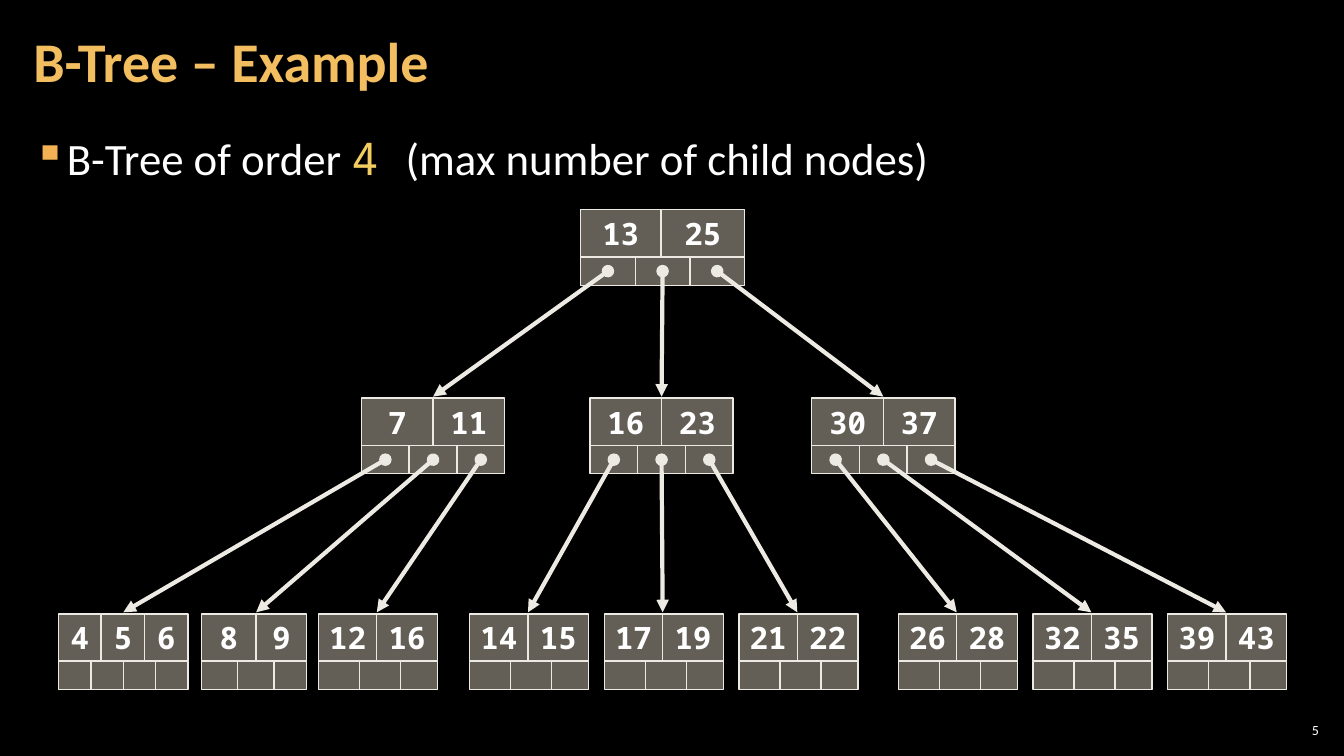
from lxml.etree import SubElement
from pptx import Presentation
from pptx.dml.color import RGBColor
from pptx.enum.shapes import MSO_CONNECTOR as CONN, MSO_SHAPE as SHAPE
from pptx.enum.text import MSO_ANCHOR as ANCHOR, MSO_AUTO_SIZE as AUTO, PP_ALIGN as ALIGN
from pptx.oxml.ns import qn
from pptx.util import Inches, Pt

# Content
TITLE = "B-Tree – Example"
SANS, MONO = "Calibri", "Noto Sans Mono"
WHITE, GOLD, LINE, NODE = "FFFFFF", "F3BE60", "ECEAE3", "C7BFAC"
BULLET = [("B-Tree of order ", SANS, WHITE), ("4 ", MONO, "F3CD60"),
          ("(max number of child nodes)", SANS, WHITE)]
PAGE = "5"

# Tree levels: row top, then nodes as (keys, left, width, share of first key)
# Horizontal values are % of slide width, vertical ones % of slide height
LEVELS = [
    (27.73, [((13, 25), 43.2, 12.2, .49)]),
    (52.67, [((7, 11), 26.9, 10.65, .5), ((16, 23), 43.9, 10.65, .5),
             ((30, 37), 60.4, 10.65, .5)]),
    (81.2, [((4, 5, 6), 4.35, 9.65, .33), ((8, 9), 15, 7.8, .52),
            ((12, 16), 23.7, 8.85, .49)]
     + [(keys, start + 10.02 * i, 8.85, .49)
        for start, group in ((34.95, ((14, 15), (17, 19), (21, 22))),
                             (66.85, ((26, 28), (32, 35), (39, 43))))
        for i, keys in enumerate(group)]),
]
KEY_H, POINTER_H = 6.27, 3.73
LEAF_POINTERS = (.345, .345, .31)
ARROW_GAP = .2

prs = Presentation()
prs.slide_width, prs.slide_height = Inches(13.33), Inches(7.5)
s = prs.slides.add_slide(prs.slide_layouts[5])


def rgb(color):
    return RGBColor.from_string(color)


def x(share):
    return round(prs.slide_width * share / 100)


def y(share):
    return round(prs.slide_height * share / 100)


def add_run(p, text, size, font=SANS, color=WHITE, bold=False):
    r = p.add_run()
    r.text = text
    r.font.name, r.font.size, r.font.bold = font, Pt(size), bold
    r.font.color.rgb = rgb(color)


def frame(sp, side, anchor, wrap=True):
    tf = sp.text_frame
    tf.auto_size, tf.word_wrap, tf.vertical_anchor = AUTO.NONE, wrap, anchor
    tf.margin_left = tf.margin_right = Inches(side)
    tf.margin_top = tf.margin_bottom = Inches(.04)
    return tf.paragraphs[0]


def add_cell(left, top, width, height, text=""):
    sp = s.shapes.add_shape(SHAPE.RECTANGLE, x(left), y(top), x(width), y(height))
    sp.shadow.inherit = False
    sp.fill.solid()
    sp.fill.fore_color.rgb = rgb(NODE)
    color = sp.fill._xPr.find(qn("a:solidFill"))[0]
    SubElement(color, qn("a:alpha"), val="50000")
    sp.line.color.rgb, sp.line.width = rgb(LINE), Pt(1)
    if text:
        p = frame(sp, 0, ANCHOR.MIDDLE, wrap=False)
        p.alignment = ALIGN.CENTER
        add_run(p, text, 22, MONO, bold=True)


def add_row(left, top, width, height, shares, texts):
    for share, text in zip(shares, texts):
        add_cell(left, top, width * share, height, text)
        left += width * share


def add_arrow(x1, y1, x2, y2):
    c = s.shapes.add_connector(CONN.STRAIGHT, x(x1), y(y1), x(x2), y(y2))
    c.line.color.rgb, c.line.width = rgb(LINE), Pt(3)
    ln = c.line._get_or_add_ln()
    SubElement(ln, qn("a:headEnd"), type="oval")
    SubElement(ln, qn("a:tailEnd"), type="triangle")
    SubElement(c._element.spPr, qn("a:effectLst"))


# Background and title
s.background.fill.solid()
s.background.fill.fore_color.rgb = rgb("000000")
title = s.shapes.title
title.left, title.top, title.width, title.height = x(1.58), y(.5), x(78.55), y(16.1)
p = frame(title, .12, ANCHOR.MIDDLE)
p.alignment, p.line_spacing = ALIGN.LEFT, .9
add_run(p, TITLE, 40, color=GOLD, bold=True)

# Bullet line
body = s.shapes.add_textbox(x(1.58), y(16.8), x(96.85), y(81.2))
p = frame(body, .12, ANCHOR.TOP)
pPr = p._p.get_or_add_pPr()
pPr.set("marL", str(Inches(.33)))
pPr.set("indent", str(Inches(-.33)))
p.space_after = Pt(6)
SubElement(SubElement(pPr, qn("a:buClr")), qn("a:srgbClr"), val="F2B254")
SubElement(pPr, qn("a:buChar"), char="▪")
for text, font, color in BULLET:
    add_run(p, text, 32, font, color)

# Slide number
number = s.shapes.add_textbox(x(94.9), y(95.2), x(3.53), y(2.8))
p = frame(number, .04, ANCHOR.MIDDLE)
p.alignment = ALIGN.RIGHT
add_run(p, PAGE, 10)

# Nodes: a row of keys above a row of child pointers
for top, nodes in LEVELS:
    for keys, left, width, first in nodes:
        n = len(keys)
        key_shares = [first] + [(1 - first) / (n - 1)] * (n - 1)
        is_leaf = top == LEVELS[-1][0]
        pointers = LEAF_POINTERS if is_leaf and n == 2 else [1 / (n + 1)] * (n + 1)
        add_row(left, top, width, KEY_H, key_shares, map(str, keys))
        add_row(left, top + KEY_H, width, POINTER_H, pointers, [""] * (n + 1))

# Arrows: each pointer leads to the next child on the level below
for (top, parents), (child_top, children) in zip(LEVELS, LEVELS[1:]):
    for i, (keys, left, width, first) in enumerate(children):
        parent_keys, parent_left, parent_width, _ = parents[i // 3]
        end = left + width * (first if len(keys) == 2 else .5)
        add_arrow(parent_left + parent_width * (i % 3 + .5) / 3,
                  top + KEY_H + POINTER_H / 2, end, child_top - ARROW_GAP)

prs.save("out.pptx")
